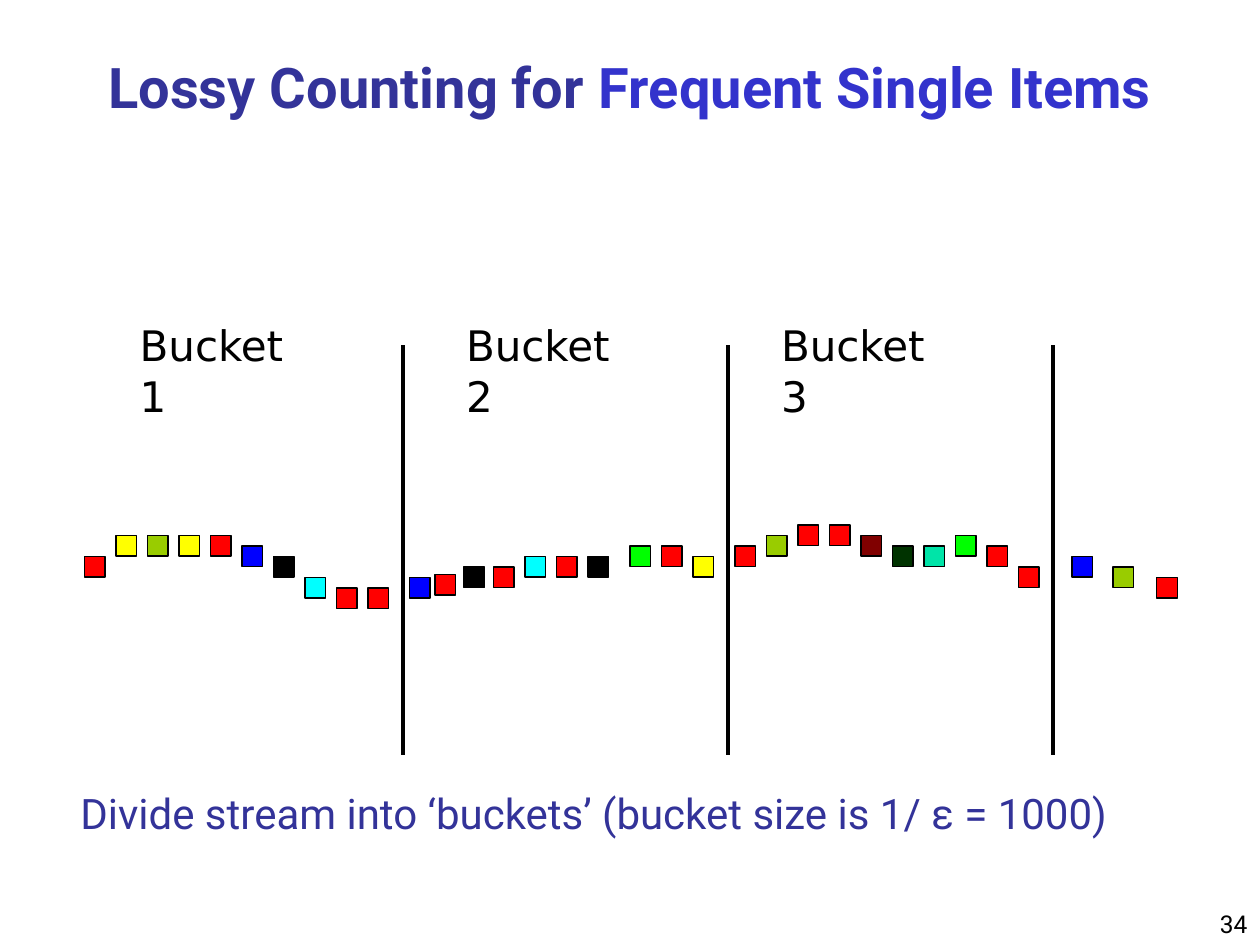
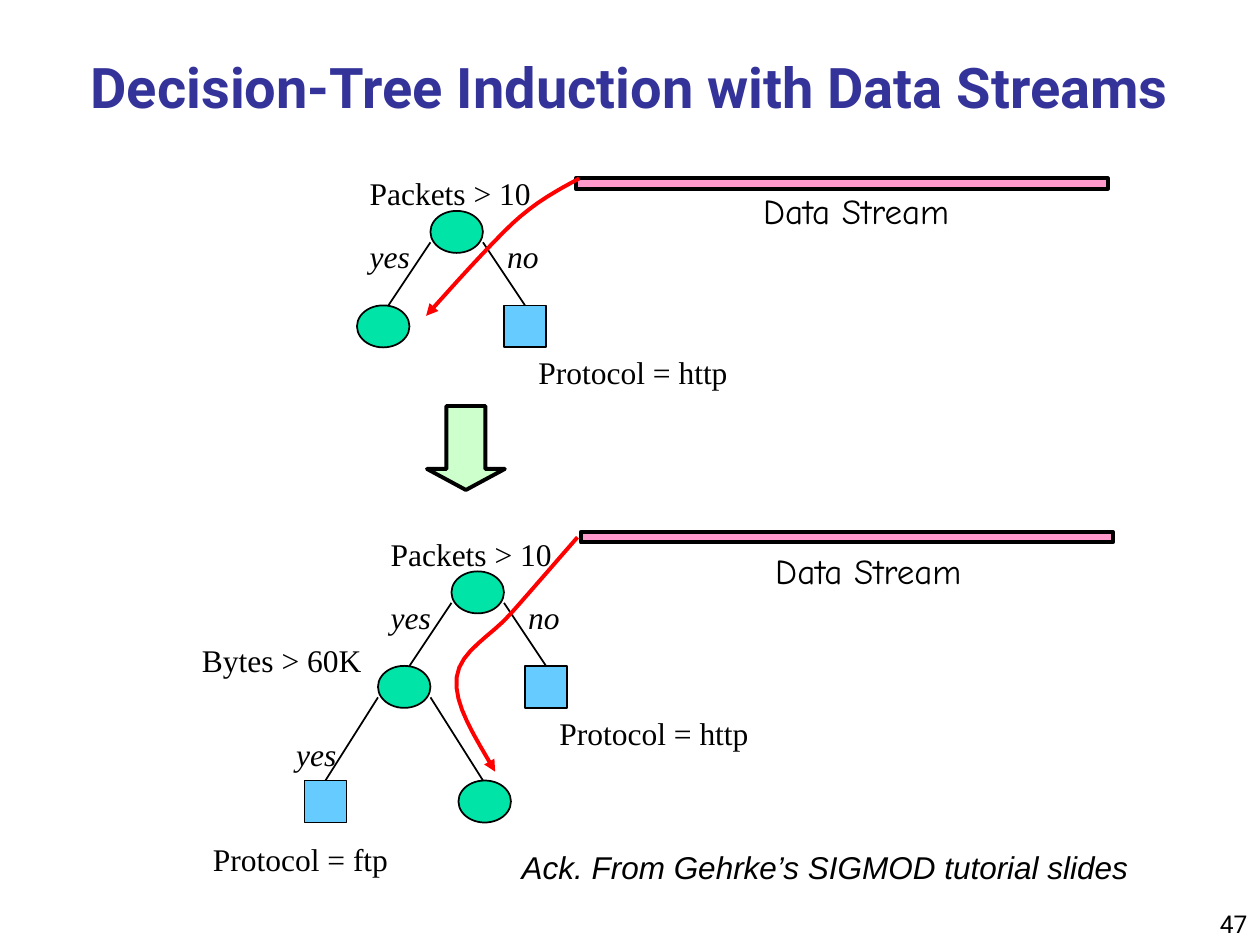
from lxml import etree
from pptx import Presentation
from pptx.dml.color import RGBColor
from pptx.enum import shapes, text
from pptx.oxml.ns import qn
from pptx.util import Pt

NAVY, BLUE, BLACK = "333399", "3333CC", "000000"
TITLE = {"name": "Roboto", "size": Pt(32), "bold": True}
NUMBER = {"name": "Roboto", "size": Pt(14)}
CAPTION = {"name": "Roboto", "size": Pt(24)}
BUCKET = {"name": "DejaVu Sans", "size": Pt(24)}
TREE = {"name": "Times New Roman", "size": Pt(18)}
ANSWER = {**TREE, "italic": True}
STREAM = {"name": "Comic Neue", "size": Pt(20)}
CREDIT = {"name": "Arial", "size": Pt(18), "italic": True}

CENTER, LEFT, RIGHT = text.PP_ALIGN.CENTER, text.PP_ALIGN.LEFT, text.PP_ALIGN.RIGHT
RECTANGLE, OVAL = shapes.MSO_SHAPE.RECTANGLE, shapes.MSO_SHAPE.OVAL

RED, YELLOW, OLIVE, CYAN, LIME = "FF0000", "FFFF00", "99CC00", "00FFFF", "00FF00"
ITEM_BLUE, MAROON, FOREST, MINT = "0000FF", "800000", "003300", "00E4A8"
ITEM_SIZE, ITEM_STEP, LEVEL_STEP = 11.75, 18, 6

STREAM_ITEMS = [
    ([48.25 + ITEM_STEP * i for i in range(10)],
     [3, 1, 1, 1, 1, 2, 3, 5, 6, 6],
     [RED, YELLOW, OLIVE, YELLOW, RED, ITEM_BLUE, BLACK, CYAN, RED, RED]),
    ([234, 248.5, 265, 282, 300, 318, 336, 360, 378, 396],
     [5, 4.7, 4, 4, 3, 3, 3, 2, 2, 3],
     [ITEM_BLUE, RED, BLACK, RED, CYAN, RED, BLACK, LIME, RED, YELLOW]),
    ([420 + ITEM_STEP * i for i in range(10)],
     [2, 1, 0, 0, 1, 2, 2, 1, 2, 4],
     [RED, OLIVE, RED, RED, MAROON, FOREST, MINT, LIME, RED, RED]),
    ([612.5, 636, 661], [3, 4, 5], [ITEM_BLUE, OLIVE, RED]),
]


def color(value):
    """Turn a hex string into a colour."""
    return RGBColor.from_string(value)


def apply_format(target, values):
    """Set every attribute named in a dict."""
    for name, value in values.items():
        setattr(target, name, value)


def add_run(paragraph, words, font, ink=BLACK):
    """Append a formatted run to a paragraph."""
    run = paragraph.add_run()
    run.text = words
    apply_format(run.font, font)
    run.font.color.rgb = color(ink)


def add_label(slide, box, words, font, ink=BLACK, align=CENTER, wrap=False,
              anchor=text.MSO_ANCHOR.TOP):
    """Add a one-paragraph text box."""
    frame = slide.shapes.add_textbox(*map(Pt, box)).text_frame
    apply_format(frame, {"word_wrap": wrap, "vertical_anchor": anchor})
    paragraph = frame.paragraphs[0]
    paragraph.alignment = align
    add_run(paragraph, words, font, ink)


def add_figure(slide, kind, box, fill, width=1):
    """Add a filled preset shape with a black outline."""
    shape = slide.shapes.add_shape(kind, *map(Pt, box))
    shape.shadow.inherit = False
    shape.fill.solid()
    shape.fill.fore_color.rgb = color(fill)
    shape.line.color.rgb = color(BLACK)
    shape.line.width = Pt(width)
    return shape


def add_line(slide, start, end, width=1, target=None):
    """Draw a black line, joined to the top of a target if there is one."""
    line = slide.shapes.add_connector(
        shapes.MSO_CONNECTOR.STRAIGHT, *map(Pt, (*start, *end)))
    line.line.color.rgb = color(BLACK)
    line.line.width = Pt(width)
    etree.SubElement(line._element.spPr, qn("a:effectLst"))
    if target is not None:
        line.end_connect(target, 0)


def bezier_points(start, curves, steps=8):
    """Sample chained cubic curves into points."""
    points = []
    for first, second, end in curves:
        for step in range(1, steps + 1):
            t = step / steps
            s = 1 - t
            points.append(tuple(
                s**3 * a + 3 * s * s * t * b + 3 * s * t * t * c + t**3 * d
                for a, b, c, d in zip(start, first, second, end)))
        start = end
    return points


def add_curved_arrow(slide, start, curves):
    """Draw a red curve that ends in an arrowhead."""
    builder = slide.shapes.build_freeform(*map(Pt, start))
    points = [tuple(map(Pt, point)) for point in bezier_points(start, curves)]
    builder.add_line_segments(points, close=False)
    curve = builder.convert_to_shape()
    curve.shadow.inherit = False
    curve.fill.background()
    curve.line.color.rgb = color(RED)
    curve.line.width = Pt(2.25)
    etree.SubElement(curve.line._get_or_add_ln(), qn("a:tailEnd"), type="triangle")


def add_slide(presentation, title_runs, number):
    """Add a slide with its title and page number."""
    slide = presentation.slides.add_slide(presentation.slide_layouts[5])
    title = slide.shapes.title
    apply_format(title, dict(zip(("left", "top", "width", "height"),
                                 map(Pt, (0, 18, 720, 54)))))
    apply_format(title.text_frame, {"auto_size": text.MSO_AUTO_SIZE.NONE,
                                    "vertical_anchor": text.MSO_ANCHOR.BOTTOM})
    paragraph = title.text_frame.paragraphs[0]
    paragraph.alignment = CENTER
    for words, ink in title_runs:
        add_run(paragraph, words, TITLE, ink)
    add_label(slide, (570, 504, 150, 36), number, NUMBER, align=RIGHT, wrap=True,
              anchor=text.MSO_ANCHOR.BOTTOM)
    return slide


def add_buckets(slide, left, top):
    """Draw the bucket names and the bars that close the buckets."""
    for index, label_left in enumerate((0, 186.5, 366.5)):
        add_label(slide, (left + label_left, top, 111, 36), f"Bucket {index + 1}",
                  BUCKET, align=LEFT, wrap=True)
        bar = left + 157.5 + 185.75 * index
        add_line(slide, (bar, top + 252), (bar, top + 18), 2.5)


def add_stream_items(slide, top):
    """Draw the stream items at their levels below the top."""
    for lefts, levels, fills in STREAM_ITEMS:
        for left, level, fill in zip(lefts, levels, fills):
            box = (left, top + LEVEL_STEP * level, ITEM_SIZE, ITEM_SIZE)
            add_figure(slide, RECTANGLE, box, fill, 0.75)


def add_node(slide, left, top):
    """Draw an inner node of a tree."""
    add_figure(slide, OVAL, (left, top, 30, 24), MINT)


def add_leaf(slide, left, top):
    """Draw a leaf of a tree."""
    return add_figure(slide, RECTANGLE, (left, top, 24, 24), "66CCFF")


def add_tree(slide, left, top):
    """Draw the tree that splits on packets."""
    add_node(slide, left + 42, top + 24.5)
    add_node(slide, left, top + 78.5)
    leaf = add_leaf(slide, left + 84, top + 78.5)
    add_line(slide, (left + 42, top + 42.5), (left + 18, top + 78.5))
    add_line(slide, (left + 72, top + 42.5), (left + 96, top + 78.5), target=leaf)
    add_label(slide, (left, top, 106.5, 29), "Packets > 10", TREE)
    add_label(slide, (left, top + 36, 37.5, 29), "yes", ANSWER)
    add_label(slide, (left + 78.5, top + 36, 32.5, 29), "no", ANSWER)
    add_label(slide, (left + 96.5, top + 102.25, 122.5, 29), "Protocol = http", TREE)


def add_bytes_split(slide, left, top):
    """Draw the split on bytes below a node placed at left and top."""
    leaf = add_leaf(slide, left - 42, top + 65.5)
    add_node(slide, left + 46, top + 65.5)
    add_line(slide, (left, top + 18), (left - 30, top + 65.5), target=leaf)
    add_line(slide, (left + 30, top + 18), (left + 60, top + 65.5))
    add_label(slide, (left - 108, top - 18, 106, 29), "Bytes > 60K", TREE)
    add_label(slide, (left - 54, top + 36, 37.5, 29), "yes", ANSWER)
    add_label(slide, (left - 101.5, top + 96, 114.5, 29), "Protocol = ftp", TREE)


def add_data_stream(slide, left, top, label_left, label_top):
    """Draw a stream bar with its name at an offset."""
    add_figure(slide, RECTANGLE, (left, top, 304, 6), "FF99CC", 2.25)
    add_label(slide, (left + label_left, top + label_top, 121.5, 31),
              "Data Stream", STREAM)


def build_counting_slide(presentation):
    """Build the slide on lossy counting."""
    slide = add_slide(presentation, [("Lossy Counting for ", NAVY),
                                     ("Frequent Single Items", BLUE)], "34")
    add_buckets(slide, 72.75, 179.25)
    add_stream_items(slide, 300)
    add_label(slide, (26, 446.5, 626.5, 36),
              "Divide stream into ‘buckets’ (bucket size is 1/ ε = 1000)", CAPTION, NAVY)


def build_tree_slide(presentation):
    """Build the slide on decision trees."""
    slide = add_slide(presentation,
                      [("Decision-Tree Induction with Data Streams", NAVY)], "47")
    add_tree(slide, 204, 96)
    add_tree(slide, 216, 302)
    add_bytes_split(slide, 216, 380.5)
    add_data_stream(slide, 329, 102, 99.5, 3)
    add_data_stream(slide, 332, 304, 103.5, 6.5)
    arrow = add_figure(slide, shapes.MSO_SHAPE.DOWN_ARROW, (244, 232, 44.5, 48),
                       "CCFFCC", 2.25)
    arrow.adjustments[0], arrow.adjustments[1] = 0.5, 0.27
    add_curved_arrow(slide, (331, 102), [
        ((319, 108.5), (306.5, 115), (292.5, 128)),
        ((278, 142), (260.5, 161.5), (243.5, 180.5))])
    add_curved_arrow(slide, (330, 307), [
        ((317, 322), (304, 337), (292.5, 350)),
        ((281, 363.5), (263, 371.5), (261, 387)),
        ((259, 402.5), (271.5, 421), (283, 441))])
    add_label(slide, (291, 481, 361.5, 29),
              "Ack. From Gehrke’s SIGMOD tutorial slides", CREDIT, align=LEFT)


def main():
    """Build and save the presentation."""
    presentation = Presentation()
    apply_format(presentation, {"slide_width": Pt(720), "slide_height": Pt(540)})
    build_counting_slide(presentation)
    build_tree_slide(presentation)
    presentation.save("out.pptx")


if __name__ == "__main__":
    main()
